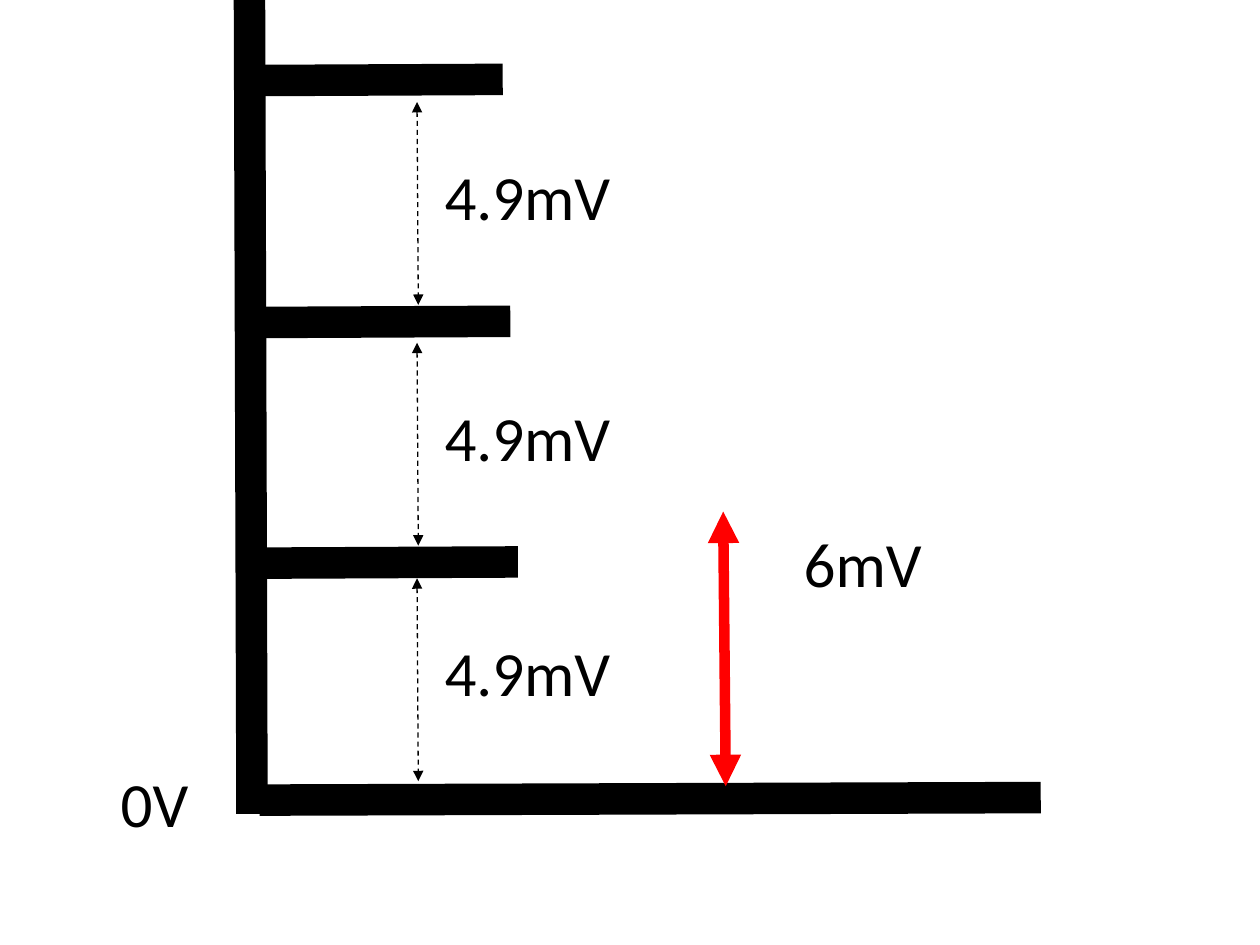
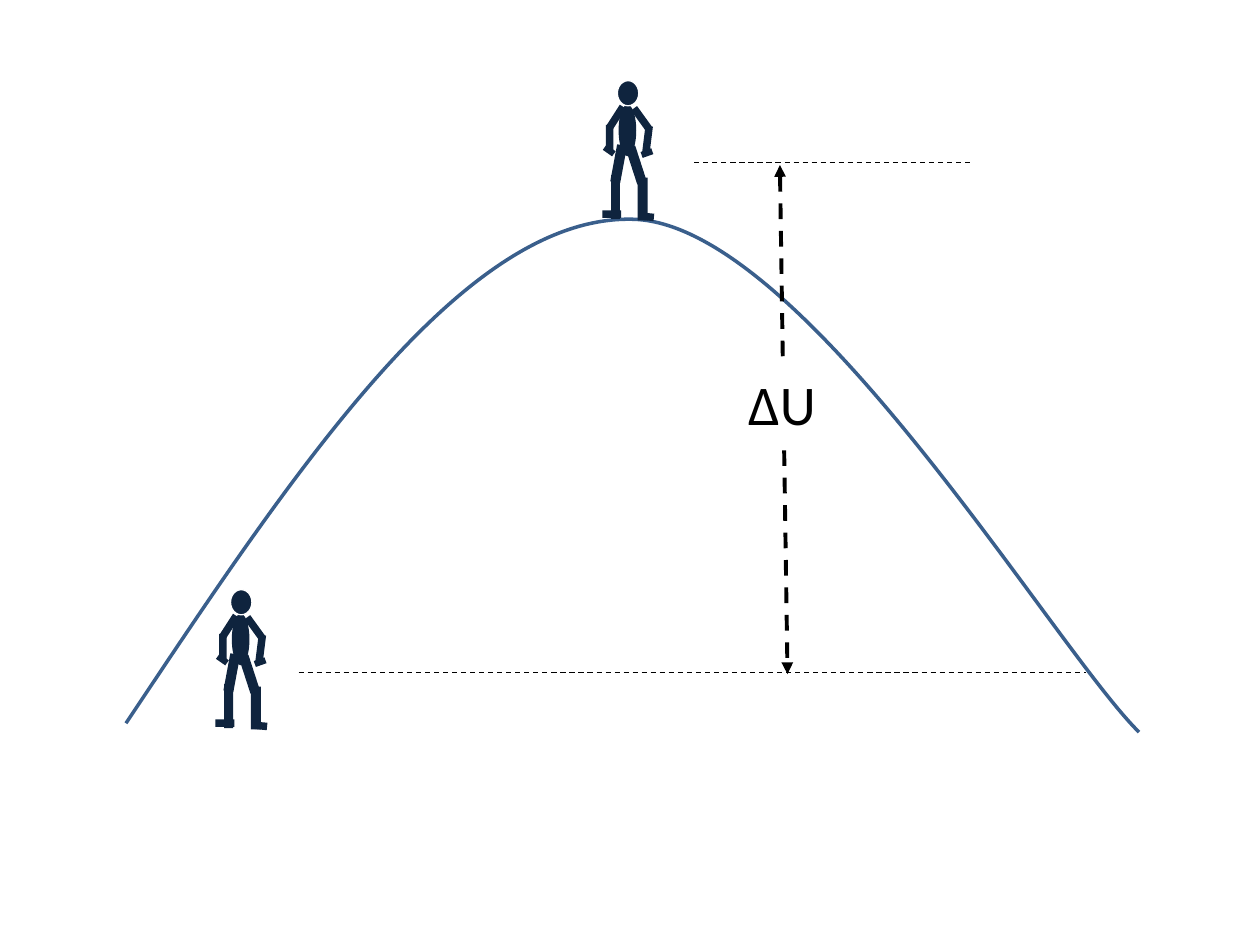
from pptx import Presentation
from pptx.dml.color import RGBColor
from pptx.enum.dml import MSO_LINE
from pptx.enum.shapes import MSO_CONNECTOR, MSO_SHAPE
from pptx.enum.text import MSO_AUTO_SIZE
from pptx.oxml.ns import qn
from pptx.util import Inches, Pt
from lxml.etree import SubElement

COLUMNS, ROWS = 10, 7.5
BLACK, WHITE, RED, NAVY, BLUE = "000000", "FFFFFF", "FF0000", "0F243E", "3A5F8C"
OVAL, BAR = MSO_SHAPE.OVAL, MSO_SHAPE.RECTANGLE

BODY_PARTS = [
    (OVAL, 0.13, 0.19, 0.14, 0.41, 0),
    (BAR, 0.33, 0.36, 0.06, 0.21, 7.1),
    (BAR, 0, 1.03, 0.15, 0.06, 0),
    (OVAL, 0.12, 0, 0.17, 0.2, 0),
    (BAR, 0.28, 0.2, 0.06, 0.2, 144.2),
    (BAR, 0.23, 0.52, 0.08, 0.3, 342),
    (BAR, 0.28, 0.77, 0.08, 0.34, 0),
    (BAR, 0.29, 1.05, 0.12, 0.06, 5.6),
    (BAR, 0.09, 0.51, 0.08, 0.3, 10.5),
    (BAR, 0.07, 0.75, 0.07, 0.35, 0),
    (BAR, 0.33, 0.53, 0.05, 0.09, 70.5),
    (BAR, 0.03, 0.35, 0.06, 0.21, 0),
    (BAR, 0.08, 0.19, 0.06, 0.2, 212.7),
    (BAR, 0.03, 0.51, 0.05, 0.09, 125),
]
HEAD = BODY_PARTS[3]


def color(value):
    return RGBColor.from_string(value)


class Sketch:
    font = "Calibri"

    def __init__(self):
        self.presentation = Presentation()
        self.presentation.slide_width = Inches(10)
        self.presentation.slide_height = Inches(7.5)
        self.slide = None

    def x(self, columns):
        return round(self.presentation.slide_width * columns / COLUMNS)

    def y(self, rows):
        return round(self.presentation.slide_height * rows / ROWS)

    def frame(self, left, top, width, height):
        return self.x(left), self.y(top), self.x(width), self.y(height)

    def new_slide(self):
        layout = self.presentation.slide_layouts[6]
        self.slide = self.presentation.slides.add_slide(layout)

    def line(self, start, end, width, line_color=BLACK, dashed=False, arrows=False):
        connector = self.slide.shapes.add_connector(
            MSO_CONNECTOR.STRAIGHT,
            self.x(start[0]), self.y(start[1]), self.x(end[0]), self.y(end[1]))
        connector.line.width = Pt(width)
        connector.line.color.rgb = color(line_color)
        if dashed:
            connector.line.dash_style = MSO_LINE.DASH
        if arrows:
            outline = connector.line._get_or_add_ln()
            for tag in ("a:headEnd", "a:tailEnd"):
                SubElement(outline, qn(tag), type="triangle")
        SubElement(connector._element.spPr, qn("a:effectLst"))

    def label(self, text, left, top, width, height=0.71, size=36, fill=None):
        box = self.slide.shapes.add_textbox(*self.frame(left, top, width, height))
        if fill:
            box.fill.solid()
            box.fill.fore_color.rgb = color(fill)
        box.text_frame.word_wrap = False
        box.text_frame.auto_size = MSO_AUTO_SIZE.SHAPE_TO_FIT_TEXT
        run = box.text_frame.paragraphs[0].add_run()
        run.text = text
        run.font.name = self.font
        run.font.size = Pt(size)
        run.font.color.rgb = color(BLACK)

    def figure(self, left, top):
        group = self.slide.shapes.add_group_shape()
        for part in BODY_PARTS:
            kind, across, down, width, height, rotation = part
            shape = group.shapes.add_shape(
                kind, *self.frame(left + across, top + down, width, height))
            shape.shadow.inherit = False
            shape.rotation = rotation
            shape.fill.solid()
            shape.fill.fore_color.rgb = color(NAVY)
            if part is HEAD:
                shape.line.color.rgb = color(WHITE)
                shape.line.width = Pt(0.75)
            else:
                shape.line.fill.background()

    def curve(self, points, line_color, width):
        start, *controls = [(self.x(across), self.y(down)) for across, down in points]
        builder = self.slide.shapes.build_freeform(*start)
        builder.add_line_segments(controls, close=False)
        shape = builder.convert_to_shape()
        shape.shadow.inherit = False
        shape.fill.background()
        shape.line.color.rgb = color(line_color)
        shape.line.width = Pt(width)
        outline = next(shape._element.iter(qn("a:path")))
        segments = outline.findall(qn("a:lnTo"))
        for first in range(0, len(segments), 3):
            bezier = SubElement(outline, qn("a:cubicBezTo"))
            for segment in segments[first:first + 3]:
                bezier.append(segment[0])
                outline.remove(segment)


def voltage_steps(sketch):
    sketch.new_slide()
    sketch.line((1.98, 0), (2, 6.46), 18)
    sketch.line((8.26, 6.33), (2.06, 6.35), 18)
    for step, (level, gap_top) in enumerate([(0.64, 0.81), (2.56, 2.72), (4.47, 4.59)]):
        shift = 0.06 * step
        sketch.line((3.99 + shift, level - 0.01), (1.89 + shift, level), 18)
        sketch.label("4.9mV", 3.43, gap_top + 0.39, 1.53)
        sketch.line((3.31, gap_top), (3.32, gap_top + 1.61), 0.75, dashed=True, arrows=True)
    sketch.line((5.74, 4.06), (5.76, 6.24), 6, RED, arrows=True)
    sketch.label("0V", 0.86, 6.02, 0.74)
    sketch.label("6mV", 6.28, 4.11, 1.15)


def potential_hill(sketch):
    sketch.new_slide()
    sketch.figure(1.71, 4.68)
    sketch.curve([(1, 5.74), (2.34, 3.73), (3.67, 1.72), (5.01, 1.74),
                  (6.36, 1.75), (8.36, 5.14), (9.04, 5.81)], BLUE, 2)
    sketch.figure(4.78, 0.64)
    for left, right, level in [(5.51, 7.72, 1.29), (2.37, 8.62, 5.34)]:
        sketch.line((left, level), (right, level), 0.75, dashed=True)
    sketch.line((6.19, 1.31), (6.25, 5.35), 2.25, dashed=True, arrows=True)
    sketch.label("ΔU", 5.84, 2.88, 0.76, 0.64, size=32, fill=WHITE)


def main():
    sketch = Sketch()
    voltage_steps(sketch)
    potential_hill(sketch)
    sketch.presentation.save("out.pptx")


if __name__ == "__main__":
    main()
